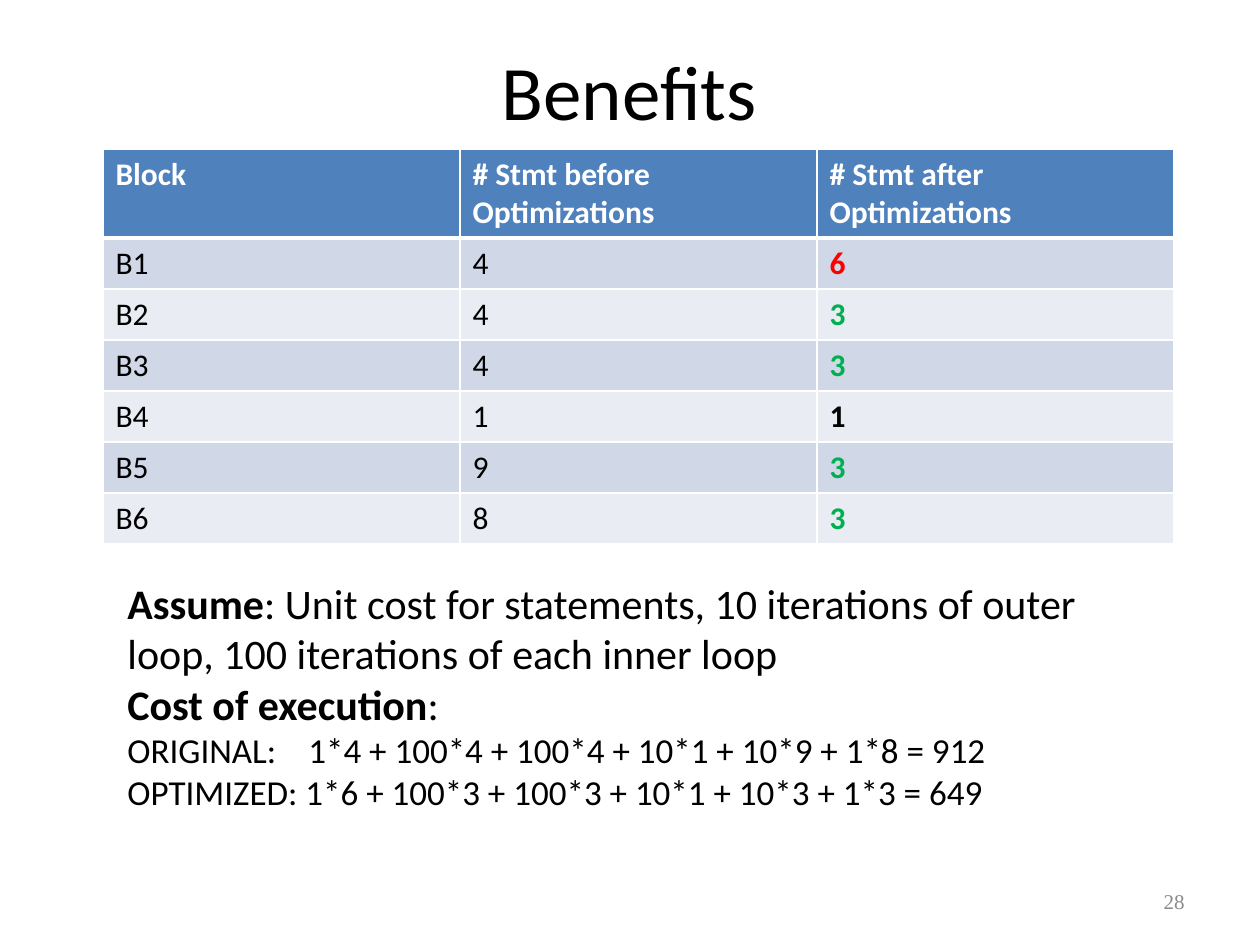
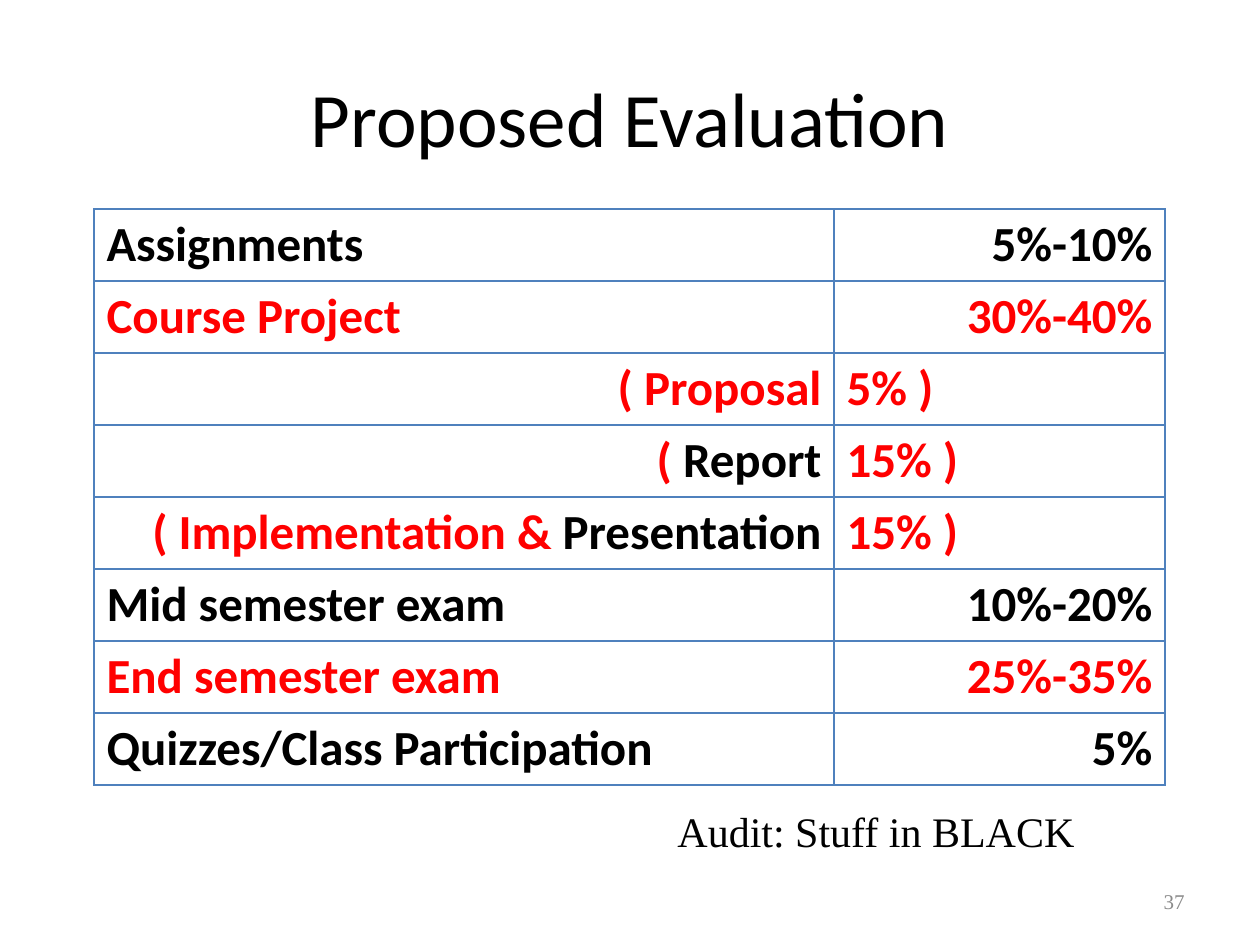
from collections import namedtuple

from lxml.etree import SubElement
from pptx import Presentation
from pptx.dml.color import RGBColor
from pptx.enum.text import MSO_ANCHOR, PP_ALIGN
from pptx.oxml.ns import qn
from pptx.util import Emu, Pt

# Shared look
EMU_PER_PX = 914400 / 126
PAGE_WIDTH, PAGE_HEIGHT = 1260, 945
COLORS = {
    "black": "000000",
    "white": "FFFFFF",
    "red": "FF0000",
    "green": "00B050",
    "blue": "4F81BD",
    "band_dark": "D0D8E7",
    "band_light": "E9ECF3",
    "gray": "8B8B8B",
}
SANS, SERIF = "Calibri", "Times New Roman"
THIN, THICK = 0.96, 3
SIDES = ("L", "R", "T", "B")

Span = namedtuple("Span", "text color bold", defaults=("black", False))


def px(length):
    return Emu(round(length * EMU_PER_PX))


def rgb(name):
    return RGBColor.from_string(COLORS[name])


# Text
def write_spans(para, spans, size, font=SANS, align=PP_ALIGN.LEFT):
    para.text = spans[0].text
    for span in spans[1:]:
        para.add_run().text = span.text
    para.alignment = align
    for run, span in zip(para.runs, spans):
        run.font.name = font
        run.font.size = Pt(size)
        run.font.bold = span.bold
        run.font.color.rgb = rgb(span.color)


def add_text(page, area, lines, font=SANS, align=PP_ALIGN.LEFT,
             anchor=MSO_ANCHOR.TOP, wrap=True):
    """Add a text box; each line is a pair of size and spans."""
    box = page.shapes.add_textbox(*map(px, area))
    frame = box.text_frame
    frame.word_wrap = wrap
    frame.vertical_anchor = anchor
    for index, (size, spans) in enumerate(lines):
        para = frame.add_paragraph() if index else frame.paragraphs[0]
        write_spans(para, spans, size, font, align)
    return box


def add_tab_stop(para, position):
    stops = SubElement(para._p.get_or_add_pPr(), qn("a:tabLst"))
    SubElement(stops, qn("a:tab"), pos=str(px(position)), algn="l")


def add_page(deck, title, title_area, number):
    page = deck.slides.add_slide(deck.slide_layouts[6])
    add_text(page, title_area, [(44, [Span(title)])],
             align=PP_ALIGN.CENTER, anchor=MSO_ANCHOR.MIDDLE)
    add_text(page, (903, 876, 294, 50), [(12, [Span(str(number), "gray")])],
             SERIF, PP_ALIGN.RIGHT, MSO_ANCHOR.MIDDLE)
    return page


# Tables
def add_grid(page, left, top, widths, heights):
    frame = page.shapes.add_table(len(heights), len(widths), px(left), px(top),
                                  px(sum(widths)), px(sum(heights)))
    table = frame.table
    table.first_row = table.horz_banding = False
    for column, width in zip(table.columns, widths):
        column.width = px(width)
    for row, height in zip(table.rows, heights):
        row.height = px(height)
    return table


def set_borders(cell, color, thick_side=None):
    properties = cell._tc.get_or_add_tcPr()
    for side in SIDES:
        points = THICK if side == thick_side else THIN
        line = SubElement(properties, qn(f"a:ln{side}"), w=str(Pt(points)))
        fill = SubElement(line, qn("a:solidFill"))
        SubElement(fill, qn("a:srgbClr"), val=COLORS[color])


def fill_cell(cell, spans, size, border, fill=None, align=PP_ALIGN.LEFT,
              thick_side=None):
    set_borders(cell, border, thick_side)
    if fill:
        cell.fill.solid()
        cell.fill.fore_color.rgb = rgb(fill)
    else:
        cell.fill.background()
    write_spans(cell.text_frame.paragraphs[0], spans, size, align=align)


# Slide: statement counts and execution cost
def change_color(before, after):
    if after == before:
        return "black"
    return "red" if after > before else "green"


def build_benefits(deck):
    page = add_page(deck, "Benefits", (94, 32, 1071, 115), 28)
    headings = ["Block", "# Stmt before Optimizations",
                "# Stmt after Optimizations"]
    counts = [(4, 6), (4, 3), (4, 3), (1, 1), (9, 3), (8, 3)]

    table = add_grid(page, 103, 149, [357] * 3, [89] + [51] * len(counts))
    for column, heading in enumerate(headings):
        fill_cell(table.cell(0, column), [Span(heading, "white", True)], 18,
                  "white", "blue", thick_side="B")
    for row, (before, after) in enumerate(counts, start=1):
        band = "band_dark" if row % 2 else "band_light"
        spans = [Span(f"B{row}"), Span(str(before)),
                 Span(str(after), change_color(before, after), True)]
        for column, span in enumerate(spans):
            # The first body row meets the heavy line under the headings
            fill_cell(table.cell(row, column), [span], 18, "white", band,
                      thick_side="T" if row == 1 else None)

    costs = add_text(page, (115, 571, 1040, 248), [
        (24, [Span("Assume", bold=True),
              Span(": Unit cost for statements, 10 iterations of outer loop, "
                   "100 iterations of each inner loop")]),
        (24, [Span("Cost of execution", bold=True), Span(":")]),
        (20, [Span("ORIGINAL:\t1*4 + 100*4 + 100*4 + 10*1 + 10*9 + 1*8 = 912")]),
        (20, [Span("OPTIMIZED: 1*6 + 100*3 + 100*3 + 10*1 + 10*3 + 1*3 = 649")]),
    ])
    add_tab_stop(costs.text_frame.paragraphs[2], 181)


# Slide: course grading
def build_evaluation(deck):
    page = add_page(deck, "Proposed Evaluation", (63, 38, 1134, 158), 37)

    def black(text):
        return Span(text, "black", True)

    def red(text):
        return Span(text, "red", True)

    grading = [
        ([black("Assignments")], black("5%-10%")),
        ([red("Course Project")], red("30%-40%")),
        ([red("( Proposal")], red("5% )")),
        ([red("( "), black("Report")], red("15% )")),
        ([red("( Implementation & "), black("Presentation")], red("15% )")),
        ([black("Mid semester exam")], black("10%-20%")),
        ([red("End semester exam")], red("25%-35%")),
        ([black("Quizzes/Class Participation")], black("5%")),
    ]
    table = add_grid(page, 94, 209, [740, 331], [72] * len(grading))
    for row, (label, share) in enumerate(grading):
        # Parts of the project meet at the middle line
        aligns = [PP_ALIGN.LEFT, PP_ALIGN.RIGHT]
        if label[0].text.startswith("("):
            aligns.reverse()
        for column, spans in enumerate((label, [share])):
            fill_cell(table.cell(row, column), spans, 28, "blue",
                      align=aligns[column])

    add_text(page, (665, 799, 422, 63), [(24, [Span("Audit: Stuff in BLACK")])],
             SERIF, wrap=False)


def main():
    deck = Presentation()
    deck.slide_width, deck.slide_height = px(PAGE_WIDTH), px(PAGE_HEIGHT)
    build_benefits(deck)
    build_evaluation(deck)
    deck.save("out.pptx")


if __name__ == "__main__":
    main()
